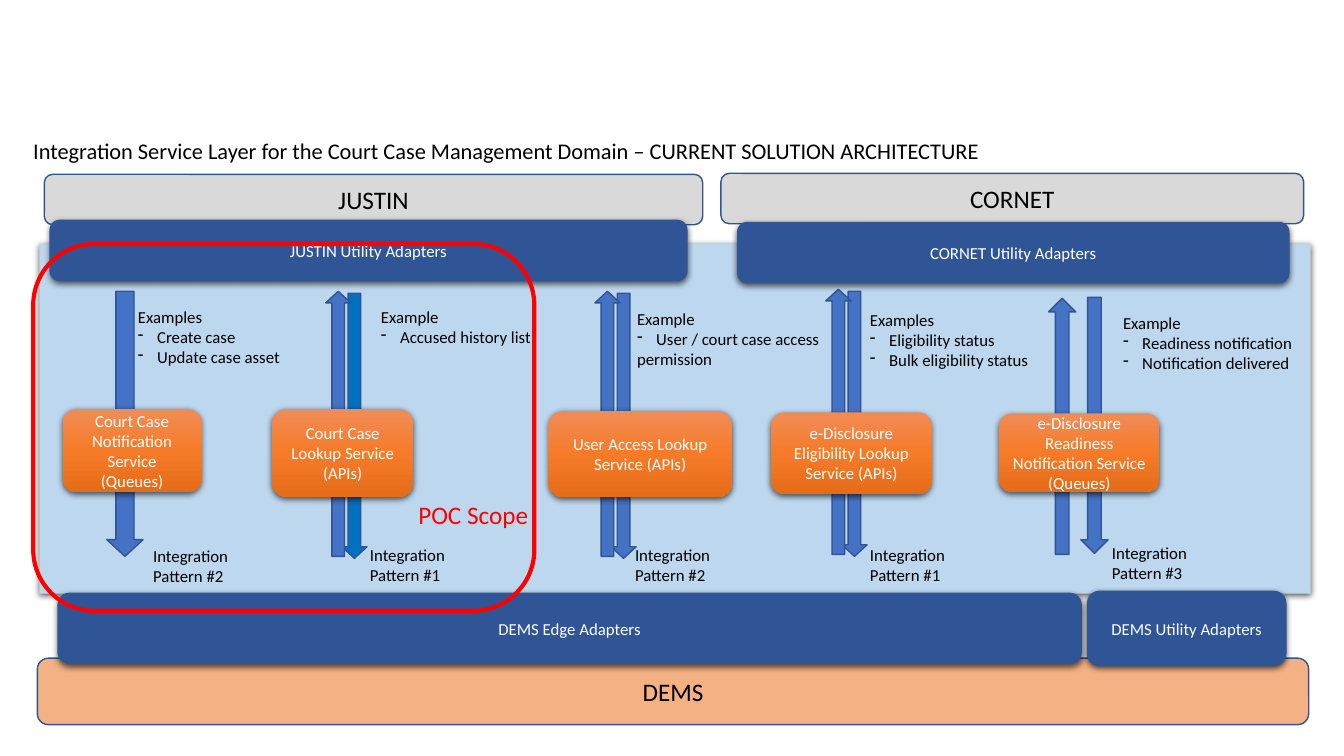
from copy import deepcopy
from dataclasses import dataclass

from lxml import etree
from pptx import Presentation
from pptx.dml.color import RGBColor
from pptx.enum import shapes, text
from pptx.oxml import ns
from pptx.util import Inches, Pt

Frame = tuple[float, float, float, float]


@dataclass(frozen=True)
class Theme:
    font: str = "Calibri"
    small: int = 12
    title: int = 16
    large: int = 18
    black: str = "000000"
    white: str = "FFFFFF"
    red: str = "FF0000"
    outline: str = "325491"
    layer: str = "BDD7EE"
    system: str = "D9D9D9"
    target: str = "F4B183"
    adapter: str = "2F5597"
    arrow: str = "4472C4"
    scope_arrow: str = "0070C0"
    service: tuple[str, ...] = ("F18C57", "F67B28", "E56C19")


THEME = Theme()


@dataclass(frozen=True)
class Block:
    label: str
    frame: Frame
    fill: str | tuple[str, ...]
    size: int = THEME.small
    color: str = THEME.white
    line: str | None = None
    shadow: bool = True


@dataclass(frozen=True)
class Arrow:
    frame: Frame
    up: bool = False
    fill: str = THEME.arrow
    head: float = 0.46


@dataclass(frozen=True)
class Note:
    frame: Frame
    lines: tuple[str, ...]


def system(label: str, frame: Frame, fill: str = THEME.system) -> Block:
    return Block(label, frame, fill, THEME.large, THEME.black, THEME.outline, False)


def adapter(label: str, frame: Frame) -> Block:
    return Block(label, frame, THEME.adapter)


def service(label: str, frame: Frame) -> Block:
    return Block(label, frame, THEME.service)


def lookup_pair(left: float, top: float, down_fill: str = THEME.arrow) -> list[Arrow]:
    return [
        Arrow((left + 0.16, top + 0.02, 0.25, 2.63), fill=down_fill),
        Arrow((left, top, 0.25, 2.63), up=True),
    ]


def pattern(number: int, left: float, top: float = 5.35) -> Note:
    return Note((left, top, 1.22, 0.71), ("Integration", f"Pattern #{number}"))


ARROWS = [
    Arrow((1.06, 2.89, 0.36, 2.63)),
    *lookup_pair(3.23, 2.89, THEME.scope_arrow),
    *lookup_pair(5.9, 2.89),
    *lookup_pair(8.19, 2.87),
    Arrow((10.4, 2.96, 0.27, 2.54), up=True, head=0.5),
    Arrow((10.72, 2.95, 0.27, 2.54), head=0.5),
]
BLOCKS = [
    system("DEMS", (0.37, 6.53, 12.61, 0.66), THEME.target),
    system("JUSTIN", (0.44, 1.73, 6.53, 0.5)),
    system("CORNET", (7.15, 1.72, 5.78, 0.5)),
    adapter("JUSTIN Utility Adapters", (0.49, 2.18, 6.33, 0.61)),
    adapter("CORNET Utility Adapters", (7.31, 2.2, 5.48, 0.61)),
    adapter("DEMS Edge Adapters", (0.57, 5.88, 10.16, 0.71)),
    adapter("DEMS Utility Adapters", (10.78, 5.86, 1.98, 0.75)),
    service("Court Case Notification Service (Queues)", (0.62, 4.06, 1.38, 0.82)),
    service("Court Case Lookup Service (APIs)", (2.7, 4.06, 1.4, 0.87)),
    service("User Access Lookup Service (APIs)", (5.44, 4.08, 1.82, 0.85)),
    service("e-Disclosure Eligibility Lookup Service (APIs)", (7.65, 4.09, 1.59, 0.81)),
    service("e-Disclosure Readiness Notification Service (Queues)", (9.91, 4.1, 1.59, 0.78)),
]
NOTES = [
    Note((1.27, 2.99, 1.64, 0.71), ("Examples", "- Create case", "- Update case asset")),
    Note((3.68, 2.99, 1.72, 0.91), ("Example", "- Accused history list")),
    Note((6.22, 3.01, 2.09, 1.11), ("Example", "- User / court case access", "permission")),
    Note((8.53, 3.02, 1.8, 1.11), ("Examples", "- Eligibility status", "- Bulk eligibility status")),
    Note((11.04, 3.05, 1.91, 0.91), ("Example", "- Readiness notification", "- Notification delivered")),
    pattern(2, 1.42, 5.36),
    pattern(1, 3.57),
    pattern(2, 6.2),
    pattern(1, 8.53),
    pattern(3, 10.93, 5.33),
]


def add_dash(para) -> None:
    properties = para._p.get_or_add_pPr()
    properties.set("marL", str(Inches(0.19)))
    properties.set("indent", str(-Inches(0.19)))
    etree.SubElement(properties, ns.qn("a:buFontTx"))
    etree.SubElement(properties, ns.qn("a:buChar")).set("char", "-")


def write(frame, *lines: str, size: int = THEME.small, color: str = THEME.black,
          align=text.PP_ALIGN.LEFT, anchor=text.MSO_ANCHOR.TOP) -> None:
    frame.word_wrap = True
    frame.vertical_anchor = anchor
    for index, line in enumerate(lines):
        para = frame.paragraphs[0] if index == 0 else frame.add_paragraph()
        para.alignment = align
        if line.startswith("- "):
            add_dash(para)
        span = para.add_run()
        span.text = line.removeprefix("- ")
        span.font.name = THEME.font
        span.font.size = Pt(size)
        span.font.color.rgb = RGBColor.from_string(color)


def add_shadow(shape) -> None:
    effects = shape._element.spPr.find(ns.qn("a:effectLst"))
    shadow = etree.SubElement(effects, ns.qn("a:outerShdw"), blurRad=str(Pt(4.5)),
                              dist=str(Pt(1.5)), dir="5400000", algn="ctr", rotWithShape="0")
    color = etree.SubElement(shadow, ns.qn("a:srgbClr"), val=THEME.black)
    etree.SubElement(color, ns.qn("a:alpha"), val="63000")


def paint_gradient(shape, colors: tuple[str, ...]) -> None:
    shape.fill.gradient()
    shape.fill.gradient_angle = 270
    stops = shape._element.spPr.find(".//" + ns.qn("a:gsLst"))
    stops.insert(1, deepcopy(stops[0]))
    for index, (stop, color) in enumerate(zip(shape.fill.gradient_stops, colors)):
        stop.position = index / (len(colors) - 1)
        stop.color.rgb = RGBColor.from_string(color)


def add_shape(page, kind, frame: Frame, fill: str | tuple[str, ...] | None = None,
              line: str | None = None, width: float = 1, shadow: bool = False):
    shape = page.shapes.add_shape(kind, *map(Inches, frame))
    shape.shadow.inherit = False
    if fill is None:
        shape.fill.background()
    elif isinstance(fill, str):
        shape.fill.solid()
        shape.fill.fore_color.rgb = RGBColor.from_string(fill)
    else:
        paint_gradient(shape, fill)
    if line:
        shape.line.color.rgb = RGBColor.from_string(line)
        shape.line.width = Pt(width)
    else:
        shape.line.fill.background()
    if shadow:
        add_shadow(shape)
    return shape


def add_arrow(page, arrow: Arrow) -> None:
    kind = shapes.MSO_SHAPE.UP_ARROW if arrow.up else shapes.MSO_SHAPE.DOWN_ARROW
    shape = add_shape(page, kind, arrow.frame, arrow.fill, THEME.outline)
    shape.adjustments[1] = arrow.head


def add_block(page, block: Block) -> None:
    shape = add_shape(page, shapes.MSO_SHAPE.ROUNDED_RECTANGLE, block.frame, block.fill,
                      block.line, shadow=block.shadow)
    write(shape.text_frame, block.label, size=block.size, color=block.color,
          align=text.PP_ALIGN.CENTER, anchor=text.MSO_ANCHOR.MIDDLE)


def add_text(page, frame: Frame, *lines: str, **style):
    box = page.shapes.add_textbox(*map(Inches, frame))
    write(box.text_frame, *lines, **style)
    return box


def main() -> None:
    deck = Presentation()
    deck.slide_width, deck.slide_height = Inches(13.33), Inches(7.5)
    page = deck.slides.add_slide(deck.slide_layouts[6])
    add_shape(page, shapes.MSO_SHAPE.RECTANGLE, (0.39, 2.42, 12.61, 3.47), THEME.layer, shadow=True)
    for arrow in ARROWS:
        add_arrow(page, arrow)
    for block in BLOCKS:
        add_block(page, block)
    for note in NOTES:
        add_text(page, note.frame, *note.lines)
    title = add_text(page, (0.33, 1.31, 12.67, 0.51),
                     "Integration Service Layer for the Court Case Management Domain"
                     " – CURRENT SOLUTION ARCHITECTURE", size=THEME.title)
    title.text_frame.margin_left = title.text_frame.margin_right = 0
    add_shape(page, shapes.MSO_SHAPE.ROUNDED_RECTANGLE, (0.33, 2.42, 4.97, 3.64),
              line=THEME.red, width=3)
    add_text(page, (4.05, 4.9, 1.31, 0.4), "POC Scope", size=THEME.large, color=THEME.red)
    deck.save("out.pptx")


if __name__ == "__main__":
    main()
